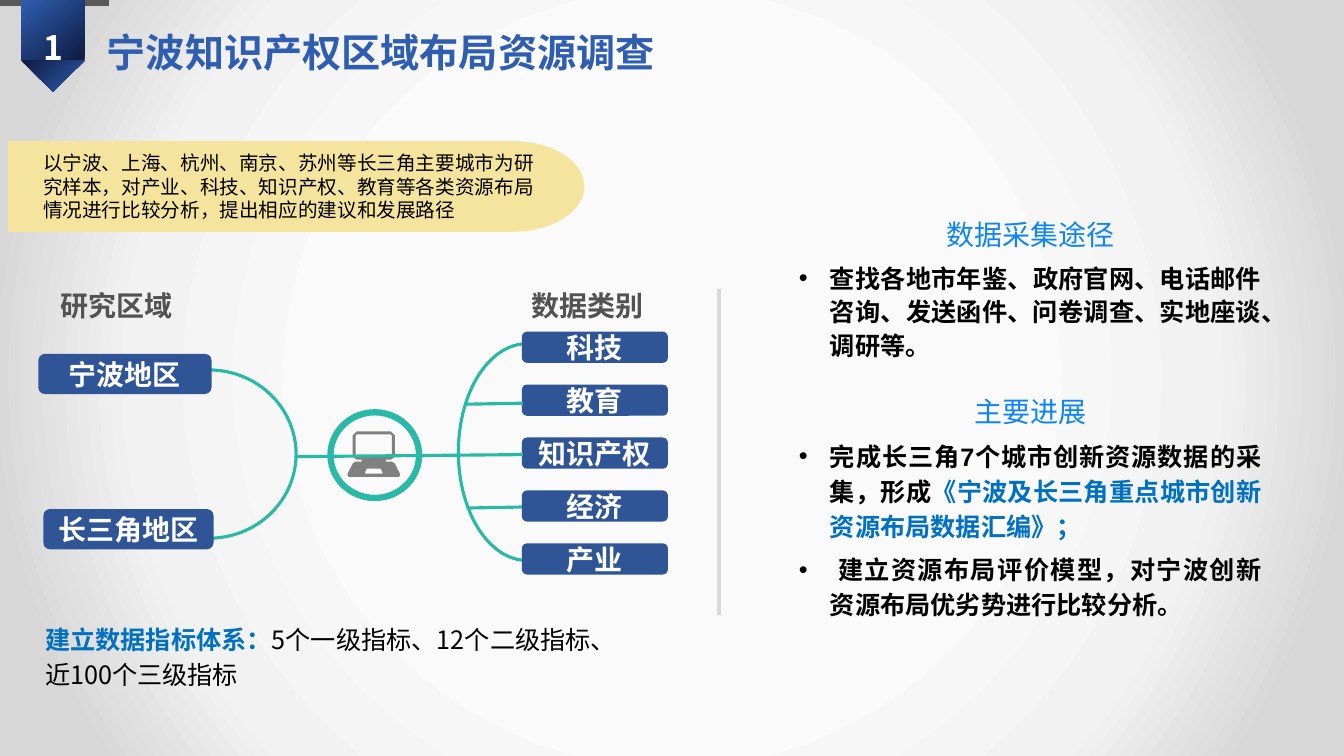
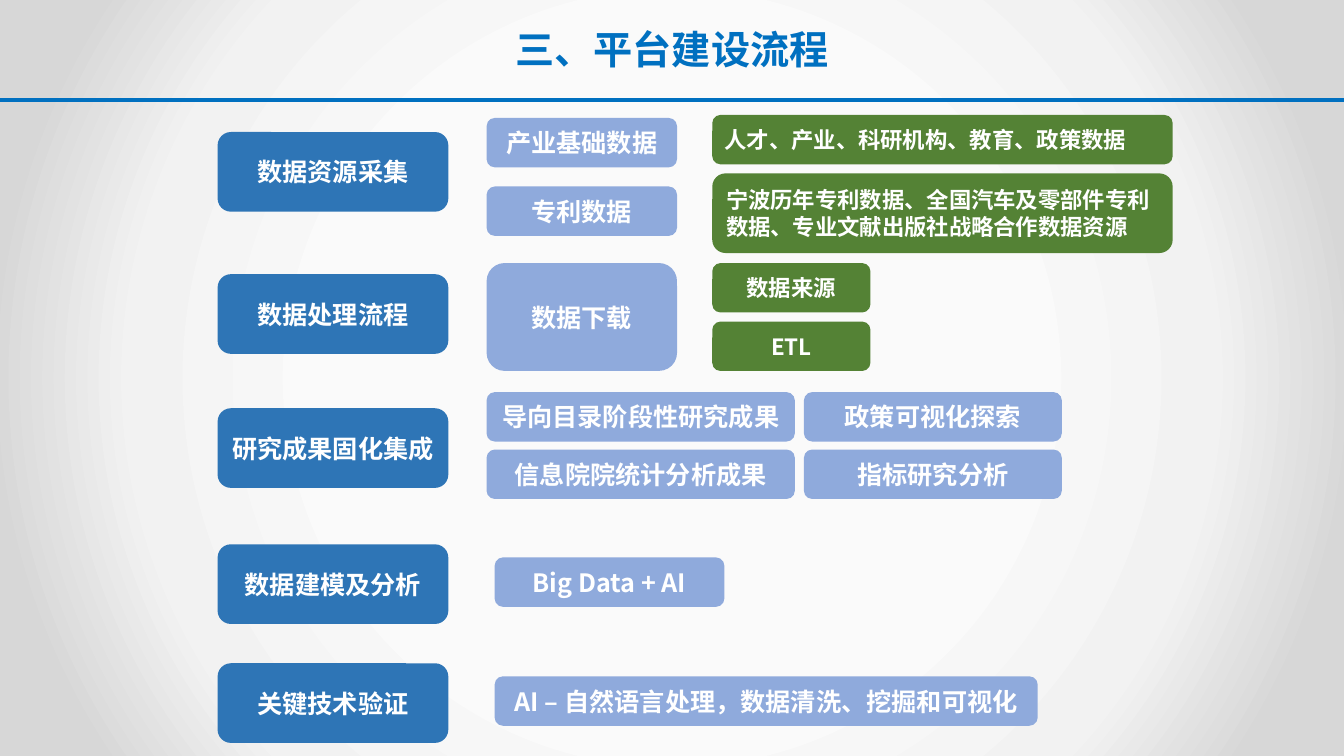
from lxml.etree import SubElement
from pptx import Presentation
from pptx.dml.color import RGBColor
from pptx.enum.shapes import MSO_CONNECTOR, MSO_SHAPE as Shape
from pptx.enum.text import MSO_ANCHOR as Anchor, MSO_AUTO_SIZE as AutoSize, PP_ALIGN as Align
from pptx.oxml import parse_xml
from pptx.oxml.ns import nsdecls, qn
from pptx.util import Inches, Pt

# Shared style
CJK_FONT = "Noto Sans CJK SC"
WHITE = RGBColor(0xFF, 0xFF, 0xFF)
BLACK = RGBColor(0, 0, 0)
ROYAL = RGBColor(0x2F, 0x5E, 0xB0)
MIDNIGHT = RGBColor(0x0E, 0x1A, 0x40)
BLUE = RGBColor(0x00, 0x70, 0xC0)
BRIGHT_BLUE = RGBColor(0x0F, 0x85, 0xF1)
PILL_BLUE = RGBColor(0x2F, 0x55, 0x97)
STEP_BLUE = RGBColor(0x2E, 0x75, 0xB6)
PALE_BLUE = RGBColor(0x8F, 0xAA, 0xDC)
GREEN = RGBColor(0x54, 0x82, 0x35)
TEAL = RGBColor(0x29, 0xB9, 0xA6)
YELLOW = RGBColor(0xF4, 0xE4, 0x9E)
DARK_GRAY = RGBColor(0x59, 0x59, 0x59)
LABEL_GRAY = RGBColor(0x52, 0x52, 0x52)
ICON_GRAY = RGBColor(0x80, 0x80, 0x80)
RULE_GRAY = RGBColor(0xD9, 0xD9, 0xD9)
BACKDROP = ((44, "FAFAFA"), (70, "F2F2F2"), (89, "D7D7D7"))


def inches(*lengths):
    return [Inches(length) for length in lengths]


def set_backdrop(deck):
    """Give the slide master a radial gradient."""
    stops = "".join(
        f'<a:gs pos="{position * 1000}"><a:srgbClr val="{colour}"/></a:gs>'
        for position, colour in BACKDROP)
    common = deck.slide_master.element.cSld
    for old in common.findall(qn("p:bg")):
        common.remove(old)
    common.insert(0, parse_xml(
        f'<p:bg {nsdecls("p", "a")}><p:bgPr><a:gradFill><a:gsLst>{stops}</a:gsLst>'
        '<a:path path="circle"><a:fillToRect l="50000" t="50000" r="50000" b="50000"/>'
        '</a:path></a:gradFill><a:effectLst/></p:bgPr></p:bg>'))


# Text
def style(para, size, colour, bold=False, align=Align.LEFT, font=CJK_FONT):
    para.alignment = align
    para.font.size = Pt(size)
    para.font.bold = bold
    para.font.name = font
    para.font.color.rgb = colour
    properties = para._p.pPr.find(qn("a:defRPr"))
    SubElement(properties, qn("a:ea")).set("typeface", CJK_FONT)


def add_span(para, text, colour=None, bold=None):
    span = para.add_run()
    span.text = text
    if colour is not None:
        span.font.color.rgb = colour
    if bold is not None:
        span.font.bold = bold


def add_bullet(para):
    properties = para._p.get_or_add_pPr()
    properties.set("marL", str(Inches(0.31)))
    properties.set("indent", str(-Inches(0.31)))
    SubElement(properties, qn("a:buFont")).set("typeface", "Arial")
    SubElement(properties, qn("a:buChar")).set("char", "•")


def add_frame(page, at):
    frame = page.shapes.add_textbox(*inches(*at)).text_frame
    frame.word_wrap = True
    return frame


def add_text(page, at, text, size, colour, bold=False, align=Align.LEFT):
    para = add_frame(page, at).paragraphs[0]
    para.text = text
    style(para, size, colour, bold, align)


def add_page(deck, title, at, colour, align):
    """Add a title-only slide with the shared title style."""
    page = deck.slides.add_slide(deck.slide_layouts[5])
    box = page.shapes.title
    box.left, box.top, box.width, box.height = inches(*at)
    frame = box.text_frame
    frame.text = title
    frame.auto_size = AutoSize.NONE
    frame.vertical_anchor = Anchor.TOP
    frame.margin_left = frame.margin_right = Inches(0.07)
    frame.margin_top = frame.margin_bottom = Inches(0.04)
    style(frame.paragraphs[0], 28, colour, True, align)
    return page


# Shapes and lines
def paint(shape, fill=None, line=None, width=0):
    shape.shadow.inherit = False
    if fill is None:
        shape.fill.background()
    else:
        shape.fill.solid()
        shape.fill.fore_color.rgb = fill
    if line is None:
        shape.line.fill.background()
    else:
        shape.line.color.rgb = line
        shape.line.width = Pt(width)


def add_shape(page, kind, at, fill=None, line=None, width=0):
    shape = page.shapes.add_shape(kind, *inches(*at))
    paint(shape, fill, line, width)
    return shape


def add_card(page, at, text, fill, size=18, align=Align.CENTER, margin=0.1):
    frame = add_shape(page, Shape.ROUNDED_RECTANGLE, at, fill).text_frame
    frame.word_wrap = True
    frame.vertical_anchor = Anchor.MIDDLE
    frame.margin_left = frame.margin_right = Inches(margin)
    frame.margin_top = frame.margin_bottom = Inches(margin / 2)
    frame.text = text
    style(frame.paragraphs[0], size, WHITE, True, align)


def add_line(page, start, end, colour, width):
    line = page.shapes.add_connector(MSO_CONNECTOR.STRAIGHT, *inches(*start, *end))
    line.line.color.rgb = colour
    line.line.width = Pt(width)
    SubElement(line._element.spPr, qn("a:effectLst"))


def add_arc(page, at, start, end):
    arc = add_shape(page, Shape.ARC, at, line=TEAL, width=2.25)
    # One adjustment unit is 100000/60000 of a degree
    arc.adjustments[0], arc.adjustments[1] = start * 0.6, end * 0.6


def add_laptop(page, centre):
    """Draw mirrored outlines: half widths and heights in hundredths of an inch."""
    halves = (
        ((17, 428), (21, 432), (21, 453), (17, 456), (12, 456), (12, 458),
         (18, 458), (21, 460), (26, 470), (26, 472), (25, 473)),
        ((17, 431), (18, 432), (18, 453)),
        ((7, 465), (9, 469), (8, 470)),
    )
    builder = None
    for half in halves:
        points = [(centre + x, y) for x, y in half]
        points += [(centre - x, y) for x, y in reversed(half)]
        if builder is None:
            builder = page.shapes.build_freeform(*points[0], scale=Inches(0.01))
        else:
            builder.move_to(*points[0])
        builder.add_line_segments(points[1:], close=True)
    paint(builder.convert_to_shape(), ICON_GRAY)


def add_badge(page, number):
    add_shape(page, Shape.RECTANGLE, (0, 0, 1.08, 0.06), DARK_GRAY)
    ribbon = add_shape(page, Shape.RECTANGLE, (0.21, 0, 0.63, 0.6), ROYAL)
    tip = add_shape(page, Shape.ISOSCELES_TRIANGLE, (0.21, 0.6, 0.63, 0.31), ROYAL)
    tip.rotation = 180
    for part in (ribbon, tip):
        part.fill.gradient()
        part.fill.gradient_angle = 130
        for stop, colour in zip(part.fill.gradient_stops, (MIDNIGHT, ROYAL)):
            stop.color.rgb = colour
    add_text(page, (0.28, 0.22, 0.5, 0.5), number, 24, WHITE, True, Align.CENTER)


# Slide 1
def add_research_map(page):
    for left, text in ((0.5, "研究区域"), (5.18, "数据类别")):
        add_text(page, (left, 2.81, 1.31, 0.44), text, 20, LABEL_GRAY, True, Align.CENTER)

    add_arc(page, (4.55, 3.41, 1.36, 2.15), 90, 270)
    add_arc(page, (1.21, 3.67, 1.73, 1.67), 270, 90)
    add_shape(page, Shape.OVAL, (3.28, 4.09, 0.88, 0.85), line=TEAL, width=4.5)
    add_laptop(page, 371)

    add_card(page, (0.38, 3.51, 1.72, 0.4), "宁波地区", PILL_BLUE, 20, margin=0)
    add_card(page, (0.43, 5.05, 1.69, 0.4), "长三角地区", PILL_BLUE, 20, margin=0)
    for row, text in enumerate(("科技", "教育", "知识产权", "经济", "产业")):
        at = (5.18, 3.29 + row * 0.525, 1.45, 0.31)
        add_card(page, at, text, PILL_BLUE, 20, margin=0)

    for start, end in (((5.19, 4.51), (2.94, 4.53)),
                       ((5.19, 4), (4.63, 4.01)),
                       ((5.18, 5.03), (4.65, 5.04))):
        add_line(page, start, end, TEAL, 2.25)


def add_progress(page):
    frame = add_frame(page, (7.83, 2.01, 4.79, 4.23))
    sections = (
        ("数据采集途径", 1.3, 0, 24, (
            (("查找各地市年鉴、政府官网、电话邮件咨询、发送函件、问卷调查、实地座谈、调研等。", BLACK),),)),
        ("主要进展", Pt(24), 24, 25, (
            (("完成长三角7个城市创新资源数据的采集，形成", BLACK),
             ("《宁波及长三角重点城市创新资源布局数据汇编》；", BLUE)),
            ((" 建立资源布局评价模型，对宁波创新资源布局优劣势进行比较分析。", BLACK),))),
    )
    for index, (heading, heading_spacing, before, spacing, items) in enumerate(sections):
        para = frame.add_paragraph() if index else frame.paragraphs[0]
        para.text = heading
        para.line_spacing = heading_spacing
        if before:
            para.space_before = Pt(before)
        style(para, 20, BRIGHT_BLUE, align=Align.CENTER)
        for spans in items:
            para = frame.add_paragraph()
            para.line_spacing = Pt(spacing)
            para.space_before = Pt(6)
            add_bullet(para)
            style(para, 18, BLACK, True, Align.JUSTIFY, "Arial")
            for text, colour in spans:
                add_span(para, text, colour)


def build_survey(deck):
    page = add_page(deck, "宁波知识产权区域布局资源调查", (0.99, 0.24, 7.24, 0.55),
                    ROYAL, Align.LEFT)
    add_badge(page, "1")

    # Scope banner
    add_shape(page, Shape.RECTANGLE, (0.08, 1.4, 5.02, 0.9), YELLOW)
    add_shape(page, Shape.OVAL, (4.38, 1.4, 1.42, 0.9), YELLOW)
    add_text(page, (0.33, 1.45, 5.17, 0.81),
             "以宁波、上海、杭州、南京、苏州等长三角主要城市为研究样本，对产业、科技、知识产权、"
             "教育等各类资源布局情况进行比较分析，提出相应的建议和发展路径", 14, BLACK)

    add_research_map(page)
    add_line(page, (7.14, 2.87), (7.14, 6.1), RULE_GRAY, 3)

    # Indicator summary
    para = add_frame(page, (0.35, 6.1, 5.96, 0.8)).paragraphs[0]
    para.line_spacing = Pt(25)
    style(para, 18, BLACK)
    add_span(para, "建立数据指标体系：", BLUE, True)
    add_span(para, "5个一级指标、12个二级指标、近100个三级指标")

    add_progress(page)


# Slide 2
def build_process(deck):
    page = add_page(deck, "三、平台建设流程", (1.67, 0.21, 10, 0.57), BLUE, Align.CENTER)
    add_line(page, (0, 0.99), (13.34, 0.99), BLUE, 3)

    steps = (("数据资源采集", 1.31), ("数据处理流程", 2.72), ("研究成果固化集成", 4.05),
             ("数据建模及分析", 5.4), ("关键技术验证", 6.58))
    for text, top in steps:
        add_card(page, (2.16, top, 2.29, 0.79), text, STEP_BLUE)

    tasks = (
        ("产业基础数据", 4.83, 1.17, 1.89, 0.49),
        ("专利数据", 4.83, 1.85, 1.89, 0.49),
        ("数据下载", 4.83, 2.61, 1.89, 1.07),
        ("导向目录阶段性研究成果", 4.83, 3.89, 3.06, 0.49),
        ("信息院院统计分析成果", 4.83, 4.46, 3.06, 0.49),
        ("政策可视化探索", 7.98, 3.89, 2.56, 0.49),
        ("指标研究分析", 7.98, 4.46, 2.56, 0.49),
        ("Big Data + AI", 4.91, 5.53, 2.28, 0.49),
        ("AI – 自然语言处理，数据清洗、挖掘和可视化", 4.91, 6.71, 5.39, 0.49),
    )
    for text, *at in tasks:
        add_card(page, at, text, PALE_BLUE)

    details = (
        ("人才、产业、科研机构、教育、政策数据", 1.14, 4.57, 0.49, Align.LEFT),
        ("宁波历年专利数据、全国汽车及零部件专利数据、专业文献出版社战略合作数据资源",
         1.72, 4.57, 0.79, Align.LEFT),
        ("数据来源", 2.61, 1.57, 0.49, Align.CENTER),
        ("ETL", 3.19, 1.57, 0.49, Align.CENTER),
    )
    for text, top, width, height, align in details:
        add_card(page, (7.07, top, width, height), text, GREEN, 16, align)


def main():
    deck = Presentation()
    deck.slide_width, deck.slide_height = inches(13.34, 7.5)
    set_backdrop(deck)
    build_survey(deck)
    build_process(deck)
    deck.save("out.pptx")


if __name__ == "__main__":
    main()
